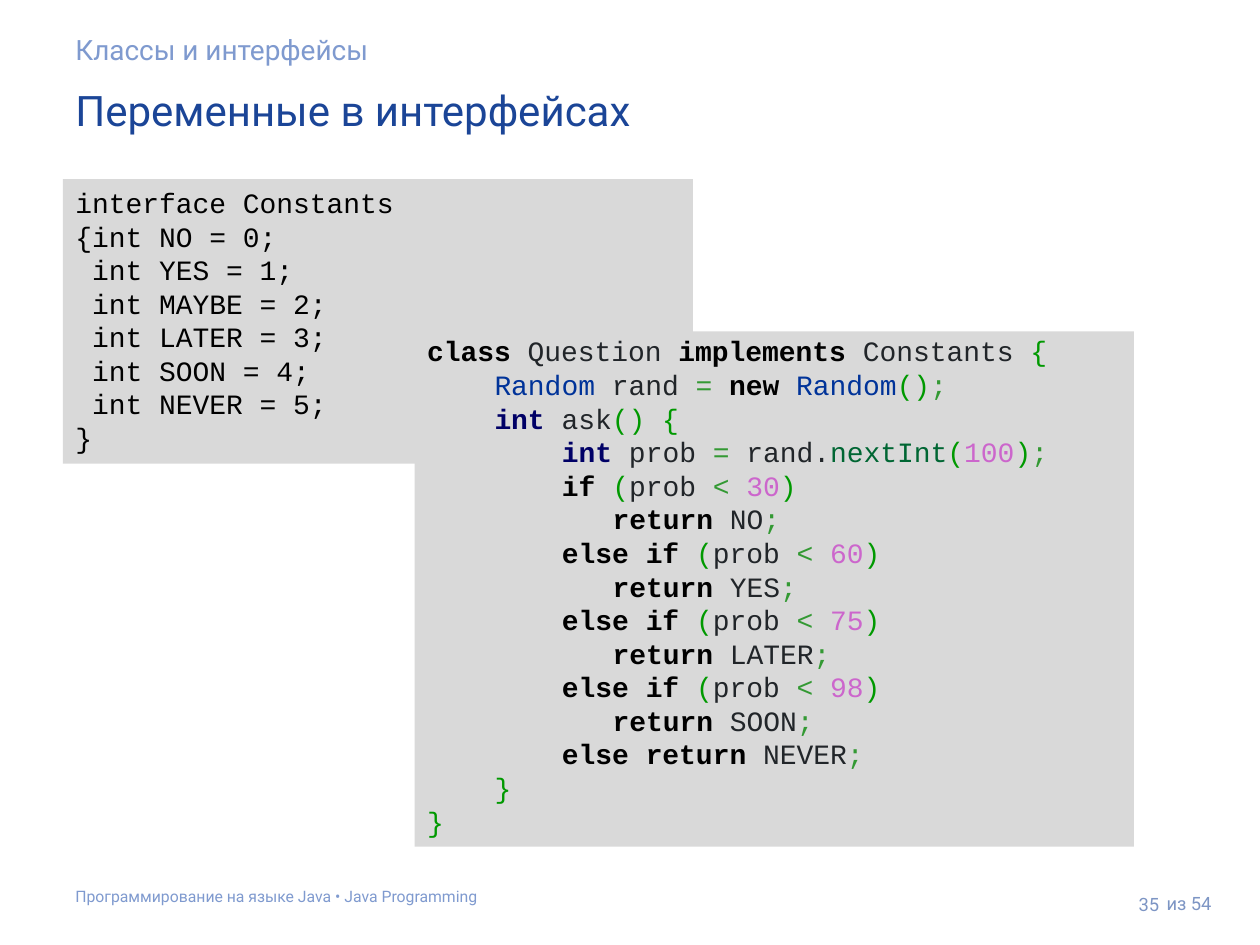
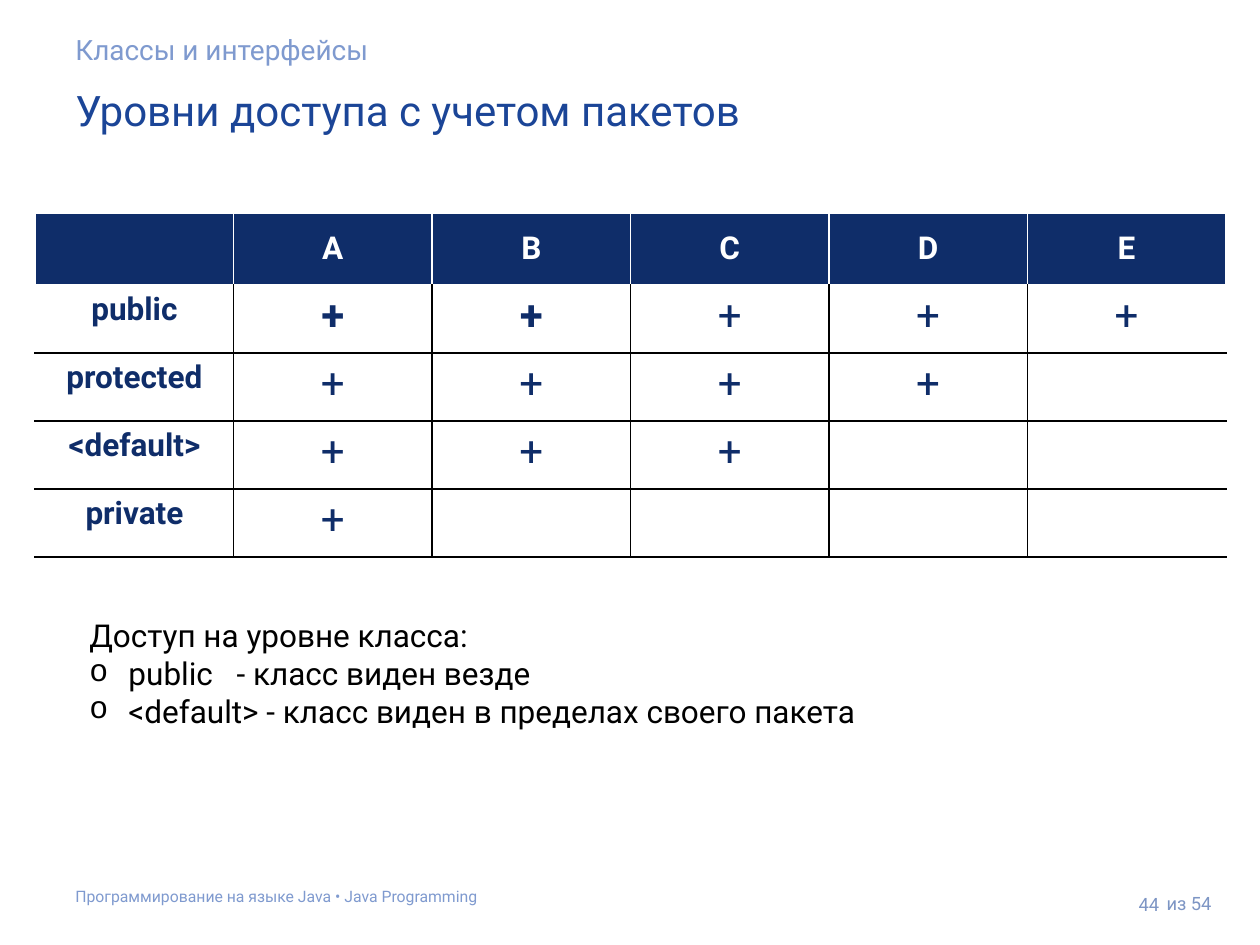
from itertools import groupby

from lxml import etree
from pptx import Presentation
from pptx.dml.color import RGBColor
from pptx.enum.shapes import MSO_SHAPE
from pptx.enum.text import MSO_ANCHOR, MSO_AUTO_SIZE, PP_ALIGN
from pptx.oxml.ns import qn
from pptx.util import Cm, Pt

TOP, MID = MSO_ANCHOR.TOP, MSO_ANCHOR.MIDDLE
LEFT, RIGHT, CENTER = PP_ALIGN.LEFT, PP_ALIGN.RIGHT, PP_ALIGN.CENTER
RECT = MSO_SHAPE.RECTANGLE
FIXED = MSO_AUTO_SIZE.NONE

SANS, MONO = "Roboto", "Courier New"
BLUE, PALE, NUMBER = "1B4597", "7F9ACF", "7D95C4"
NAVY, WHITE, BLACK, GREY = "0F2D69", "FFFFFF", "000000", "D9D9D9"
INK, BRACE, SIGN, DIGIT = "212529", "009900", "339933", "CC66CC"
CHAR = 0.34  # width of one 16 pt code letter, cm

WORDS = {word: (BLACK, True)
         for word in ("class", "implements", "new", "if", "else", "return")}
WORDS |= {"int": ("000066", True), "Random": ("003399", False),
          "nextInt": ("006633", False)}

PLAIN = """interface Constants
{int NO = 0;
 int YES = 1;
 int MAYBE = 2;
 int LATER = 3;
 int SOON = 4;
 int NEVER = 5;
}"""

CLASS = """class Question implements Constants {
    Random rand = new Random();
    int ask() {
        int prob = rand.nextInt(100);
        if (prob < 30)
           return NO;
        else if (prob < 60)
           return YES;
        else if (prob < 75)
           return LATER;
        else if (prob < 98)
           return SOON;
        else return NEVER;
    }
}"""

LEVELS = {"public": 5, "protected": 4, "<default>": 3, "private": 1}
NOTES = ["Доступ на уровне класса:",
         "public\t- класс виден везде",
         "<default> - класс виден в пределах своего пакета"]


def rgb(code):
    return RGBColor.from_string(code)


def style(par, size, color, face=SANS, bold=False, align=LEFT):
    par.alignment = align
    font = par.font
    font.size, font.name, font.bold = Pt(size), face, bold
    font.color.rgb = rgb(color)


def place(shape, box):
    shape.left, shape.top, shape.width, shape.height = map(Cm, box)


def frame(shape, pads=(0.25, 0.13, 0.25, 0.13), anchor=TOP):
    """Fix the text frame's padding (left, top, right, bottom) and anchor."""
    text = shape.text_frame
    text.word_wrap, text.auto_size = True, FIXED
    text.vertical_anchor = anchor
    (text.margin_left, text.margin_top,
     text.margin_right, text.margin_bottom) = map(Cm, pads)
    return text


def add(node, tag, **attrs):
    return etree.SubElement(node, qn(tag), attrs)


def indent(par, left, hang=0):
    props = par._p.get_or_add_pPr()
    props.set("marL", str(Cm(left)))
    props.set("indent", str(-Cm(hang)))
    return props


def label(slide, box, text, size, color, pad=0.25, anchor=TOP, align=LEFT):
    shape = slide.shapes.add_textbox(*map(Cm, box))
    par = frame(shape, (0.25, pad, 0.25, pad), anchor).paragraphs[0]
    par.text = text
    style(par, size, color, align=align)


def base(deck, layout, title, number):
    """Add a slide with the shared heading and footer."""
    slide = deck.slides.add_slide(deck.slide_layouts[layout])
    head = slide.shapes.title
    place(head, (1.27, 1.45, 23.34, 1.55))
    par = frame(head, (0.25,) * 4).paragraphs[0]
    par.text = title
    style(par, 24, BLUE)
    label(slide, (1.27, 0.41, 23.34, 1.19), "Классы и интерфейсы", 16, PALE)
    label(slide, (1.27, 17.63, 22.86, 0.89),
          "Программирование на языке Java • Java Programming", 9, PALE)
    label(slide, (23.27, 17.7, 1.75, 1.02), "из 54", 10.5, NUMBER, 0.13, MID)
    label(slide, (22.1, 17.5, 1.52, 1.45), number, 10.5, NUMBER,
          anchor=MID, align=RIGHT)
    return slide


def kind(char):
    """Sort a code character into words, or give a sign its colour."""
    if char.isalnum():
        return "word"
    if char in "(){}":
        return BRACE
    return SIGN if char in ";=<" else INK


def look(token):
    """Give the colour and weight of a (kind, text) token."""
    sort, text = token
    if sort != "word":
        return sort, False
    return WORDS.get(text, (DIGIT if text.isdigit() else INK, False))


def paint(par, line):
    tokens = [(sort, "".join(part)) for sort, part in groupby(line, kind)]
    for (color, bold), part in groupby(tokens, look):
        run = par.add_run()
        run.text = "".join(text for _, text in part)
        run.font.bold = bold
        run.font.color.rgb = rgb(color)


def code(slide, box, source, pads, anchor=TOP, vivid=False):
    shape = slide.shapes.add_shape(RECT, *map(Cm, box))
    shape.shadow.inherit = False
    shape.fill.solid()
    shape.fill.fore_color.rgb = rgb(GREY)
    shape.line.fill.background()
    text = frame(shape, pads, anchor)
    for i, line in enumerate(source.splitlines()):
        par = text.add_paragraph() if i else text.paragraphs[0]
        style(par, 16, BLACK, MONO)
        bare = line.lstrip()
        indent(par, CHAR * (len(line) - len(bare)))
        if vivid:
            paint(par, bare)
        else:
            par.text = bare


def edge(cell, side, color):
    line = add(cell._tc.get_or_add_tcPr(), "a:ln" + side, w=str(Pt(1)))
    add(add(line, "a:solidFill"), "a:srgbClr", val=color)


def fill_cell(cell, row, col, last):
    """Draw the rules, ground and text of one cell of the access table."""
    head = row == 0
    white = {"L": head or col == 0, "R": head or col == last,
             "T": row < 2, "B": head}
    for side, pale in white.items():
        edge(cell, side, WHITE if pale else BLACK)
    if head:
        cell.fill.solid()
        cell.fill.fore_color.rgb = rgb(NAVY)
        cell.vertical_anchor = MID
        text = " ABCDE"[col].strip()
    else:
        cell.fill.background()
        name, reach = list(LEVELS.items())[row - 1]
        text = name if col == 0 else "+" if col <= reach else ""
    par = cell.text_frame.paragraphs[0]
    par.text = text
    bold = head or col == 0 or (row == 1 and col < 3)
    style(par, 24 if text == "+" else 18, WHITE if head else NAVY,
          bold=bold, align=CENTER)


def access(slide, box):
    rows, cols = len(LEVELS) + 1, 6
    table = slide.shapes.add_table(rows, cols, *map(Cm, box)).table
    table.first_row = table.horz_banding = False
    for col in table.columns:
        col.width = Cm(box[2] / cols)
    for i, row in enumerate(table.rows):
        row.height = Cm(1.37 if i else 1.45)
        for j, cell in enumerate(row.cells):
            fill_cell(cell, i, j, cols - 1)


def notes(slide, box):
    body = slide.placeholders[1]
    place(body, box)
    text = frame(body)
    for i, line in enumerate(NOTES):
        par = text.add_paragraph() if i else text.paragraphs[0]
        par.text = line
        par.space_before = Pt(0)
        style(par, 18, BLACK)
        if i == 0:
            add(indent(par, 0), "a:buNone").getparent()
        else:
            props = indent(par, 0.79, 0.79)
            add(add(props, "a:buClr"), "a:srgbClr", val=BLACK)
            add(props, "a:buFont", typeface=MONO)
            add(props, "a:buChar", char="o")
            add(add(props, "a:tabLst"), "a:tab", pos=str(Cm(2.97)), algn="l")
        # Default run properties close the paragraph properties.
        props = par._p.pPr
        props.append(props.find(qn("a:defRPr")))


def fields(deck):
    slide = base(deck, 5, "Переменные в интерфейсах", "35")
    code(slide, (1.27, 3.61, 12.7, 5.74), PLAIN, (0.25, 0.13, 0.25, 0.13))
    code(slide, (8.36, 6.68, 14.5, 10.39), CLASS, (0.25, 0, 0.25, 0.13),
         MID, vivid=True)


def levels(deck):
    slide = base(deck, 1, "Уровни доступа с учетом пакетов", "44")
    access(slide, (0.71, 4.3, 24, 6.93))
    notes(slide, (1.55, 12.29, 17.07, 2.57))


def main():
    deck = Presentation()
    deck.slide_width, deck.slide_height = Cm(25.4), Cm(19.05)
    fields(deck)
    levels(deck)
    deck.save("out.pptx")


if __name__ == "__main__":
    main()
